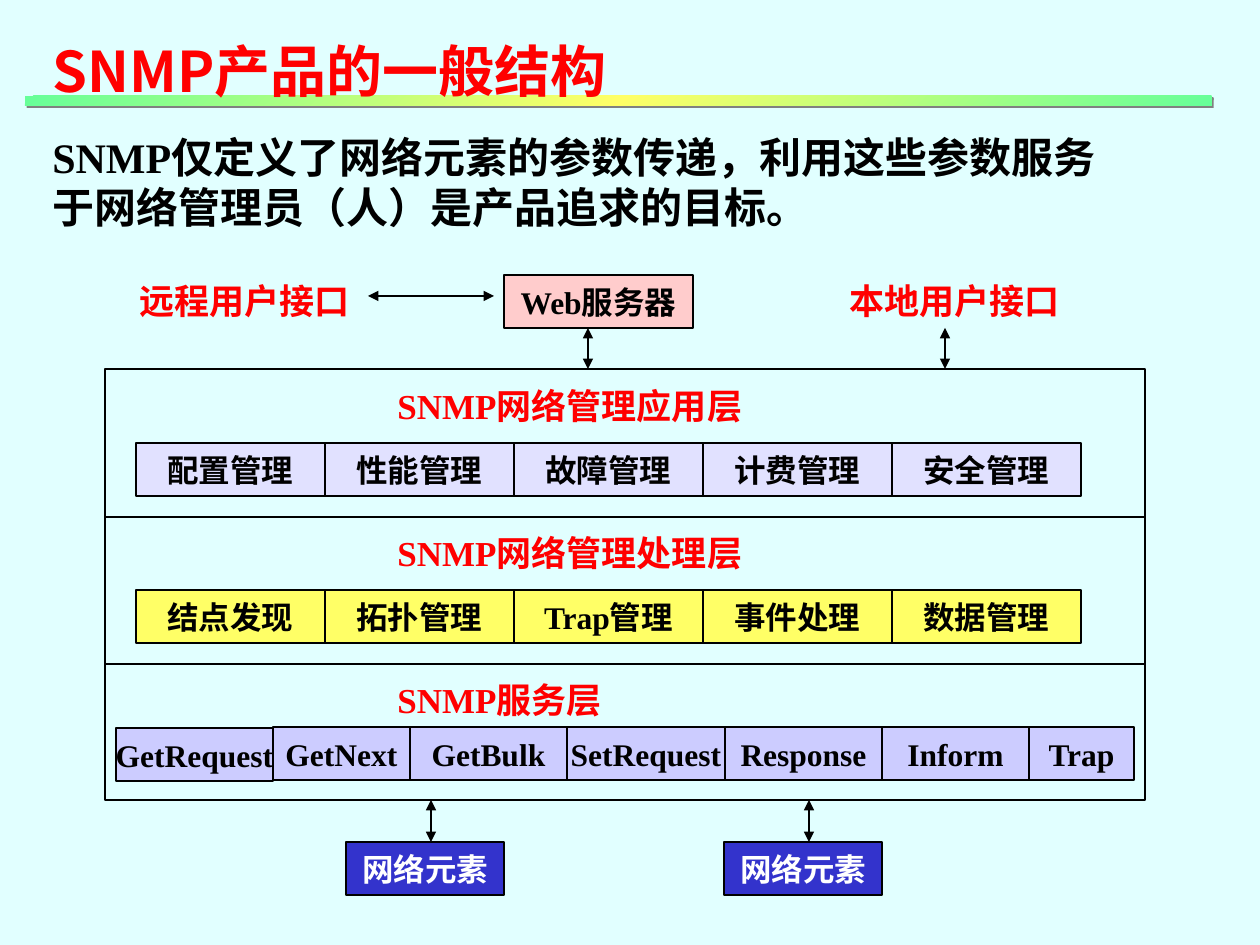
from copy import deepcopy
from dataclasses import dataclass
from itertools import pairwise

from lxml import etree
from pptx import Presentation, util as u
from pptx.dml.color import RGBColor
from pptx.enum import shapes, text
from pptx.oxml.ns import qn


@dataclass(frozen=True)
class Theme:
    background: str = "E1FFFF"
    ink: str = "000000"
    accent: str = "FF0000"
    white: str = "FFFFFF"
    web: str = "FFCCCC"
    application: str = "E1E1FF"
    processing: str = "FFFF66"
    service: str = "CCCCFF"
    element: str = "3333CC"
    bar: tuple = ("66FF99", "FFFF66", "66FF99")
    shadow: str = "808080"
    serif: str = "Times New Roman"
    sans: str = "Noto Sans CJK SC"
    title: int = 32
    body: int = 24
    label: int = 20
    box: int = 18
    leading: float = 1.2
    line: float = 0.75


theme = Theme()
PX = 914400 / 126
BOX_H = 53

prs = Presentation()
prs.slide_width, prs.slide_height = round(1260 * PX), round(945 * PX)
slide = prs.slides.add_slide(prs.slide_layouts[6])
slide.background.fill.solid()
slide.background.fill.fore_color.rgb = RGBColor.from_string(theme.background)


def write(paragraph, words, size, color, latin=theme.serif):
    """Add one bold run on a fixed line height; Chinese is always sans."""
    paragraph.line_spacing = u.Pt(size * theme.leading)
    run = paragraph.add_run()
    run.text = words
    run.font.size, run.font.bold, run.font.name = u.Pt(size), True, latin
    run.font.color.rgb = RGBColor.from_string(color)
    etree.SubElement(run.font._element, qn("a:ea"), typeface=theme.sans)


def add_box(x, y, w, h, fill=None, words="", color=theme.ink):
    box = slide.shapes.add_shape(shapes.MSO_SHAPE.RECTANGLE,
                                 *(round(n * PX) for n in (x, y, w, h)))
    box.shadow.inherit = False
    box.line.color.rgb = RGBColor.from_string(theme.ink)
    box.line.width = u.Pt(theme.line)
    if fill:
        box.fill.solid()
        box.fill.fore_color.rgb = RGBColor.from_string(fill)
    else:
        box.fill.background()
    if words:
        frame = box.text_frame
        frame.word_wrap = False
        frame.vertical_anchor = text.MSO_ANCHOR.MIDDLE
        frame.paragraphs[0].alignment = text.PP_ALIGN.CENTER
        write(frame.paragraphs[0], words, theme.box, color)
    return box


# Gradient bar, behind the title
bar = add_box(25, 96, 1187, 10)
bar.line.fill.background()
bar.fill.gradient()
bar.fill.gradient_angle = 315
last_stop = bar.fill.gradient_stops[1]._gs
last_stop.addprevious(deepcopy(last_stop))
for stop, position, color in zip(bar.fill.gradient_stops, (0, 0.5, 1), theme.bar):
    stop.position = position
    stop.color.rgb = RGBColor.from_string(color)
effects = bar._element.spPr.find(qn("a:effectLst"))
shadow = etree.SubElement(effects, qn("a:outerShdw"), dist=str(u.Pt(1.4)),
                          dir="2700000", algn="ctr", rotWithShape="0")
etree.SubElement(shadow, qn("a:srgbClr"), val=theme.shadow)

# Title and introduction
intro = slide.shapes.add_textbox(*(round(n * PX) for n in (40, 30, 1084, 207))).text_frame
intro.word_wrap = True
heading, summary = intro.paragraphs[0], intro.add_paragraph()
write(heading, "SNMP产品的一般结构", theme.title, theme.accent, theme.sans)
summary.space_before = u.Pt(16)
write(summary, "SNMP仅定义了网络元素的参数传递，利用这些参数服务于网络管理员（人）是产品追求的目标。",
      theme.body, theme.ink)

# Layers: top, height
for top, height in ((369, 148), (517, 147), (664, 136)):
    add_box(105, top, 1040, height)

# Management functions, five equal boxes a layer
for top, fill, functions in (
    (443, theme.application, ("配置管理", "性能管理", "故障管理", "计费管理", "安全管理")),
    (590, theme.processing, ("结点发现", "拓扑管理", "Trap管理", "事件处理", "数据管理")),
):
    for column, function in enumerate(functions):
        add_box(136 + 189 * column, top, 189, BOX_H, fill, function)

# SNMP operations
operations = ("GetRequest", "GetNext", "GetBulk", "SetRequest", "Response", "Inform", "Trap")
edges = (116, 273, 410, 567, 725, 882, 1029, 1134)
for operation, (left, right) in zip(operations, pairwise(edges)):
    top = 728 if operation == "GetRequest" else 727
    add_box(left, top, right - left, BOX_H, theme.service, operation)

# Interfaces and network elements
add_box(504, 275, 189, BOX_H, theme.web, "Web服务器")
for left in (346, 724):
    add_box(left, 842, 158, BOX_H, theme.element, "网络元素", theme.white)

# Red labels: left, top, width
for left, top, width, words in (
    (385, 378, 378, "SNMP网络管理应用层"),
    (385, 525, 378, "SNMP网络管理处理层"),
    (385, 672, 238, "SNMP服务层"),
    (127, 273, 236, "远程用户接口"),
    (837, 273, 236, "本地用户接口"),
):
    label = slide.shapes.add_textbox(
        *(round(n * PX) for n in (left, top, width, 55))).text_frame
    label.word_wrap = False
    label.auto_size = text.MSO_AUTO_SIZE.SHAPE_TO_FIT_TEXT
    write(label.paragraphs[0], words, theme.label, theme.accent)

# Two-way arrows
for ends in ((368, 296, 494, 296), (588, 328, 588, 369), (945, 328, 945, 369),
             (431, 800, 431, 842), (809, 800, 809, 842)):
    arrow = slide.shapes.add_connector(shapes.MSO_CONNECTOR.STRAIGHT,
                                       *(round(n * PX) for n in ends))
    arrow.line.color.rgb = RGBColor.from_string(theme.ink)
    arrow.line.width = u.Pt(theme.line)
    for end in ("a:headEnd", "a:tailEnd"):
        etree.SubElement(arrow.line._get_or_add_ln(), qn(end), type="triangle")
    etree.SubElement(arrow._element.spPr, qn("a:effectLst"))

prs.save("out.pptx")
